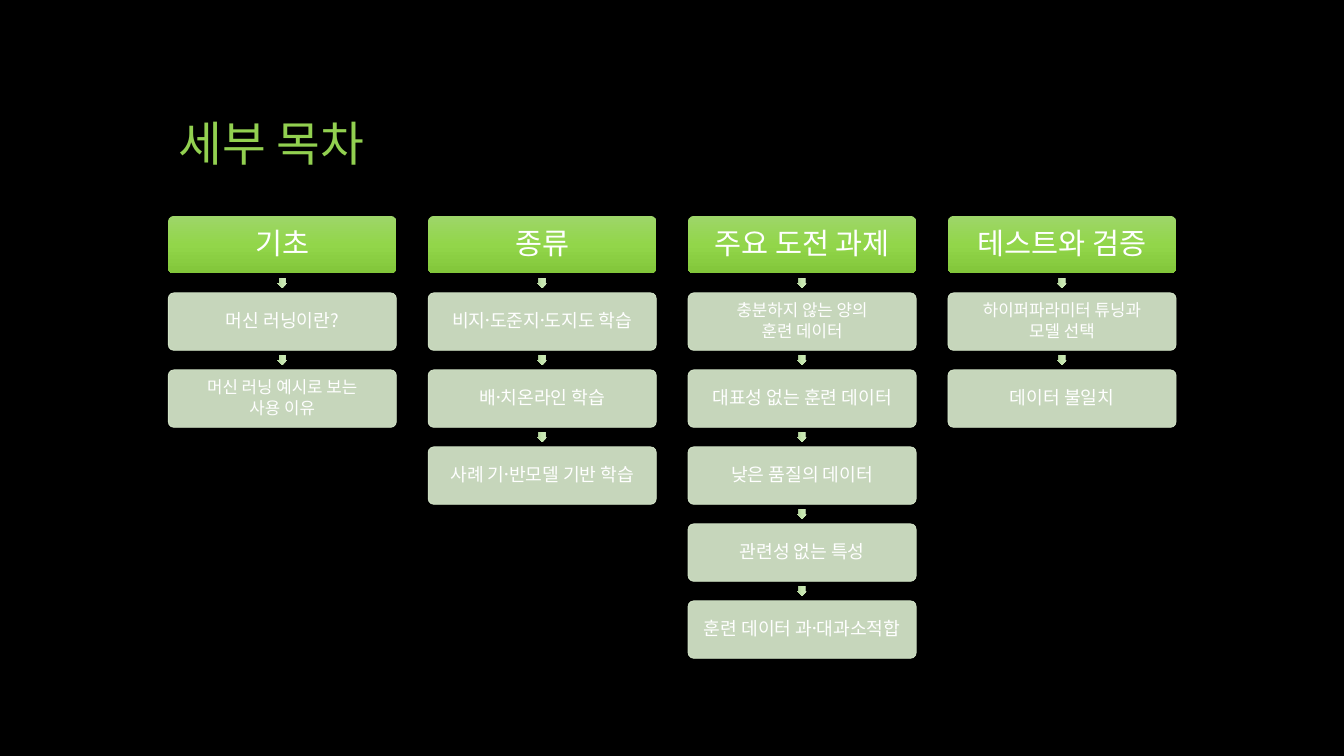
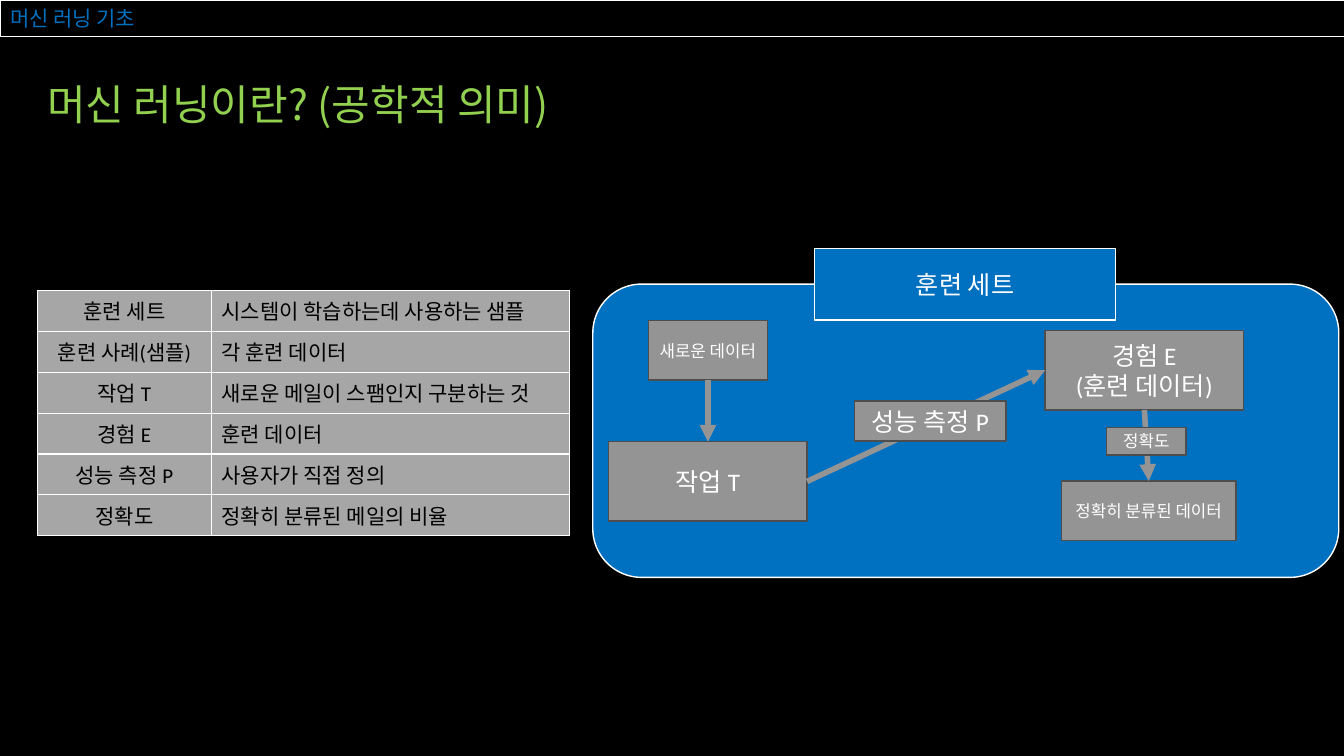
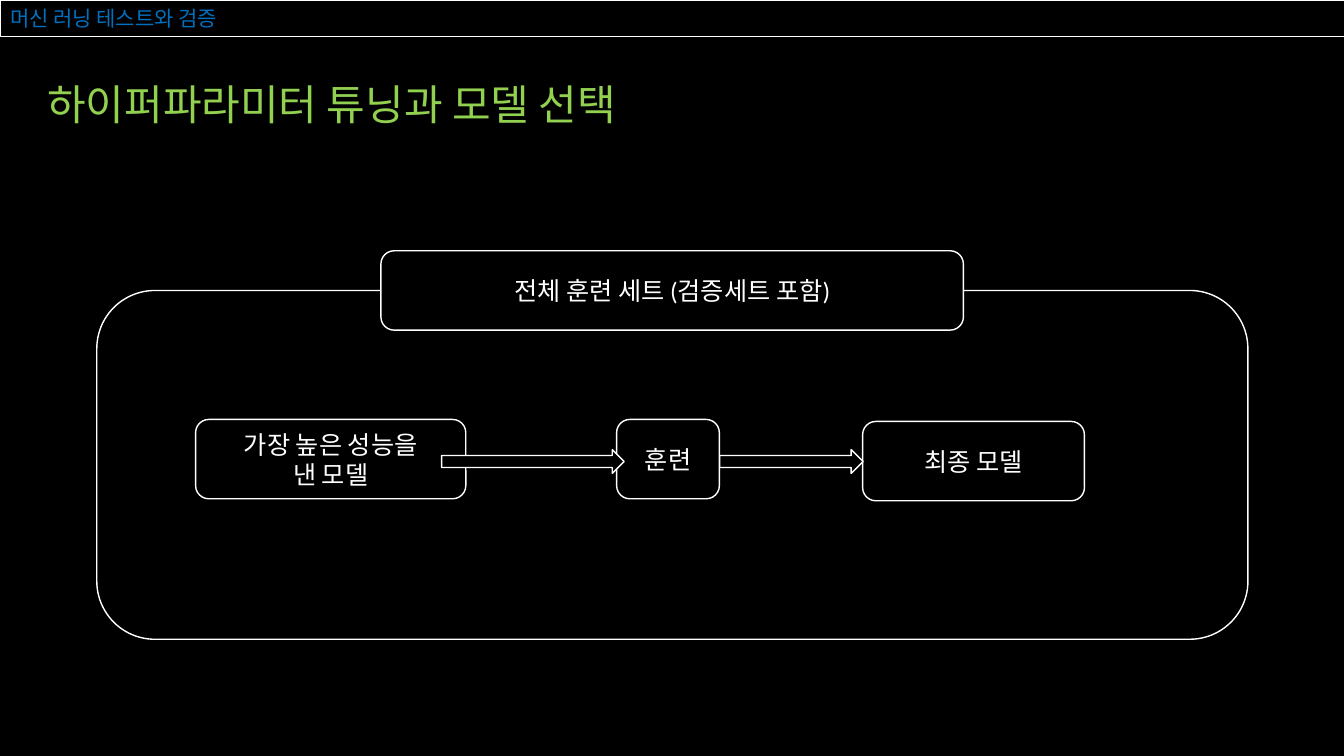
from copy import deepcopy
from dataclasses import dataclass
from typing import Any, Optional

from pptx import Presentation
from pptx.dml.color import RGBColor
from pptx.enum.shapes import MSO_CONNECTOR as Link, MSO_SHAPE as Preset
from pptx.enum.text import MSO_ANCHOR as Anchor, MSO_AUTO_SIZE as AutoSize, PP_ALIGN as Align
from pptx.oxml.ns import qn
from pptx.oxml.xmlchemy import OxmlElement
from pptx.util import Cm, Pt

BLACK = RGBColor(0x00, 0x00, 0x00)
WHITE = RGBColor(0xFF, 0xFF, 0xFF)
GREEN = RGBColor(0x92, 0xD0, 0x50)
BLUE = RGBColor(0x00, 0x70, 0xC0)
GRAY = RGBColor(0x94, 0x94, 0x94)
DARK_GRAY = RGBColor(0x4D, 0x4D, 0x4D)
CELL_GRAY = RGBColor(0xA6, 0xA6, 0xA6)
PALE_GREEN = RGBColor(0xDC, 0xEE, 0xD0)
HEAD_STOPS = (RGBColor(0x9E, 0xD6, 0x69), RGBColor(0x92, 0xD6, 0x4A), RGBColor(0x82, 0xC6, 0x3A))
ARROW_STOPS = (RGBColor(0xCF, 0xE9, 0xBD), RGBColor(0xC7, 0xE7, 0xB0), RGBColor(0xB0, 0xD1, 0x99))

KOREAN = "Noto Sans CJK KR"
LATIN = "Calibri"
SLIDE_W, SLIDE_H = 33.87, 19.05
TITLE_ONLY = 5

LEFT_TEXT = {"alignment": Align.LEFT, "line_spacing": 0.9}
CENTERED = {"alignment": Align.CENTER}
STEP_TEXT = {"alignment": Align.CENTER, "line_spacing": 0.9, "space_after": Pt(1.5)}
TITLE_FRAME = {"word_wrap": True, "auto_size": AutoSize.NONE, "vertical_anchor": Anchor.BOTTOM}
HEADING_FRAME = {"word_wrap": True, "vertical_anchor": Anchor.TOP, "margin_top": 0, "margin_bottom": 0}
NODE_FRAME = {"word_wrap": False, "vertical_anchor": Anchor.MIDDLE}
STEP_FRAME = {"word_wrap": True, "vertical_anchor": Anchor.MIDDLE} | {
    f"margin_{side}": Cm(0.1) for side in ("left", "right", "top", "bottom")}


@dataclass(frozen=True)
class Box:
    left: float
    top: float
    width: float
    height: float

    def lengths(self) -> tuple:
        return Cm(self.left), Cm(self.top), Cm(self.width), Cm(self.height)


@dataclass(frozen=True)
class Node:
    box: Box
    text: str = ""
    size: int = 18
    preset: Any = Preset.RECTANGLE
    fill: Optional[RGBColor] = GRAY
    line: RGBColor = DARK_GRAY


@dataclass(frozen=True)
class Column:
    head: str
    steps: tuple


# Shared helpers
def apply(target: Any, values: dict) -> None:
    for name, value in values.items():
        setattr(target, name, value)


def write(frame: Any, text: str, size: int, color: RGBColor, face: str,
          paragraph_format: dict) -> None:
    """Write one paragraph per line of text."""
    frame.text = text
    for paragraph in frame.paragraphs:
        apply(paragraph, paragraph_format)
        for run in paragraph.runs:
            apply(run.font, {"size": Pt(size), "name": face, "bold": False})
            run.font.color.rgb = color
            east_asian = OxmlElement("a:ea")
            east_asian.set("typeface", KOREAN)
            run.font._element.append(east_asian)


def add_plain_shape(slide: Any, preset: Any, box: Box) -> Any:
    shape = slide.shapes.add_shape(preset, *box.lengths())
    shape.shadow.inherit = False
    return shape


def paint(shape: Any, fill: Optional[RGBColor], line: RGBColor, width: float) -> None:
    if fill is None:
        shape.fill.background()
    else:
        shape.fill.solid()
        shape.fill.fore_color.rgb = fill
    shape.line.color.rgb = line
    shape.line.width = Pt(width)


def paint_gradient(shape: Any, colors: tuple) -> None:
    shape.line.fill.background()
    shape.fill.gradient()
    shape.fill.gradient_angle = 270
    stop_list = shape._element.spPr.find(qn("a:gradFill")).find(qn("a:gsLst"))
    stop_list.insert(1, deepcopy(stop_list[0]))
    for index, (stop, color) in enumerate(zip(shape.fill.gradient_stops, colors)):
        stop.position = index / 2
        stop.color.rgb = color


def make_translucent(shape: Any, percent: int) -> None:
    for color in shape._element.spPr.iter(qn("a:srgbClr")):
        alpha = OxmlElement("a:alpha")
        alpha.set("val", str(percent * 1000))
        color.append(alpha)


def add_node(slide: Any, node: Node) -> Any:
    shape = add_plain_shape(slide, node.preset, node.box)
    paint(shape, node.fill, node.line, 1)
    if node.text:
        apply(shape.text_frame, NODE_FRAME)
        write(shape.text_frame, node.text, node.size, WHITE, LATIN, CENTERED)
    return shape


def add_titled_slide(prs: Any, title: str, box: Box, size: int, color: RGBColor) -> Any:
    slide = prs.slides.add_slide(prs.slide_layouts[TITLE_ONLY])
    holder = slide.shapes.title
    apply(holder, dict(zip(("left", "top", "width", "height"), box.lengths())))
    apply(holder.text_frame, TITLE_FRAME)
    write(holder.text_frame, title, size, color, KOREAN, LEFT_TEXT)
    return slide


def add_topic_slide(prs: Any, section: str, heading: str) -> Any:
    """Slide with the outlined section band and a green heading."""
    slide = add_titled_slide(prs, section, Box(0, 0, SLIDE_W, 0.91), 15, BLUE)
    paint(slide.shapes.title, None, WHITE, 0.5)
    heading_box = slide.shapes.add_textbox(*Box(0.94, 2.13, 29.79, 1.04).lengths())
    apply(heading_box.text_frame, HEADING_FRAME)
    write(heading_box.text_frame, heading, 30, GREEN, KOREAN, LEFT_TEXT)
    return slide


# Slide 1: contents
COLUMNS = (
    Column("기초", ("머신 러닝이란?", "머신 러닝 예시로 보는\n사용 이유")),
    Column("종류", ("비지도〮준지도〮지도 학습", "배치〮온라인 학습", "사례 기반〮모델 기반 학습")),
    Column("주요 도전 과제", ("충분하지 않는 양의\n훈련 데이터", "대표성 없는 훈련 데이터",
                        "낮은 품질의 데이터", "관련성 없는 특성", "훈련 데이터 과대〮과소적합")),
    Column("테스트와 검증", ("하이퍼파라미터 튜닝과\n모델 선택", "데이터 불일치")),
)
GRID_LEFT, GRID_TOP, COLUMN_PITCH, ROW_PITCH = 4.24, 5.44, 6.55, 1.94
STEP_W, STEP_H, ARROW = 5.75, 1.45, 0.25


def add_step(slide: Any, box: Box, text: str, is_head: bool) -> None:
    step = add_plain_shape(slide, Preset.ROUNDED_RECTANGLE, box)
    step.adjustments[0] = 0.1
    if is_head:
        paint_gradient(step, HEAD_STOPS)
        size = 21
    else:
        paint(step, PALE_GREEN, PALE_GREEN, 0.5)
        make_translucent(step, 90)
        size = 12 if "\n" in text else 13
    apply(step.text_frame, STEP_FRAME)
    write(step.text_frame, text, size, WHITE, KOREAN, STEP_TEXT)


def add_step_arrow(slide: Any, left: float, top: float) -> None:
    arrow = add_plain_shape(slide, Preset.RIGHT_ARROW, Box(left, top, ARROW, ARROW))
    arrow.rotation = 90
    arrow.adjustments[0] = 0.667
    paint_gradient(arrow, ARROW_STOPS)


def build_contents(prs: Any) -> None:
    slide = add_titled_slide(prs, "세부 목차", Box(4.24, 1.27, 25.4, 3.18), 34, GREEN)
    for index, column in enumerate(COLUMNS):
        left = GRID_LEFT + index * COLUMN_PITCH
        for row, text in enumerate((column.head, *column.steps)):
            top = GRID_TOP + row * ROW_PITCH
            if row:
                gap = ROW_PITCH - STEP_H
                add_step_arrow(slide, left + (STEP_W - ARROW) / 2, top - (gap + ARROW) / 2)
            add_step(slide, Box(left, top, STEP_W, STEP_H), text, row == 0)


# Slide 2: engineering meaning
TERMS = (
    ("훈련 세트", "시스템이 학습하는데 사용하는 샘플"),
    ("훈련 사례(샘플)", "각 훈련 데이터"),
    ("작업 T", "새로운 메일이 스팸인지 구분하는 것"),
    ("경험 E", "훈련 데이터"),
    ("성능 측정 P", "사용자가 직접 정의"),
    ("정확도", "정확히 분류된 메일의 비율"),
)
TERM_WIDTHS, TERM_ROW_H = (4.39, 9.02), 1.03
RIGHT_SIDE, LEFT_SIDE, TOP_SIDE, BOTTOM_SIDE = 3, 1, 0, 2


def add_cell_borders(cell: Any, color: RGBColor) -> None:
    properties = cell._tc.get_or_add_tcPr()
    for edge in ("L", "R", "T", "B"):
        border = OxmlElement(f"a:ln{edge}")
        border.set("w", str(Pt(1)))
        fill = OxmlElement("a:solidFill")
        tint = OxmlElement("a:srgbClr")
        tint.set("val", str(color))
        fill.append(tint)
        border.append(fill)
        properties.append(border)


def add_terms(slide: Any) -> None:
    area = Box(0.94, 7.32, sum(TERM_WIDTHS), TERM_ROW_H * len(TERMS))
    terms = slide.shapes.add_table(len(TERMS), len(TERM_WIDTHS), *area.lengths()).table
    apply(terms, {"first_row": False, "horz_banding": False})
    for column, width in zip(terms.columns, TERM_WIDTHS):
        column.width = Cm(width)
    for row, texts in enumerate(TERMS):
        terms.rows[row].height = Cm(TERM_ROW_H)
        for index, text in enumerate(texts):
            cell = terms.cell(row, index)
            add_cell_borders(cell, WHITE)
            cell.fill.solid()
            cell.fill.fore_color.rgb = CELL_GRAY
            alignment = Align.LEFT if index else Align.CENTER
            write(cell.text_frame, text, 15, BLACK, LATIN, {"alignment": alignment})


def add_flow(slide: Any, start: Any, start_side: int, end: Any, end_side: int) -> None:
    flow = slide.shapes.add_connector(Link.STRAIGHT, 0, 0, 0, 0)
    flow.begin_connect(start, start_side)
    flow.end_connect(end, end_side)
    flow.line.color.rgb = GRAY
    flow.line.width = Pt(4)
    arrowhead = OxmlElement("a:tailEnd")
    arrowhead.set("type", "triangle")
    flow.line._get_or_add_ln().append(arrowhead)
    flow._element.spPr.append(OxmlElement("a:effectLst"))


def build_meaning(prs: Any) -> None:
    slide = add_topic_slide(prs, "머신 러닝 기초", "머신 러닝이란? (공학적 의미)")
    add_terms(slide)
    add_node(slide, Node(Box(14.94, 7.16, 18.8, 7.39), preset=Preset.ROUNDED_RECTANGLE,
                         fill=BLUE, line=WHITE))
    add_node(slide, Node(Box(20.52, 6.27, 7.6, 1.8), "훈련 세트", fill=BLUE, line=WHITE))
    task = add_node(slide, Node(Box(15.34, 11.13, 5, 2), "작업 T"))
    experience = add_node(slide, Node(Box(26.34, 8.33, 5, 2), "경험 E\n(훈련 데이터)"))
    new_data = add_node(slide, Node(Box(16.34, 8.08, 3, 1.5), "새로운 데이터", 12))
    classified = add_node(slide, Node(Box(26.75, 12.12, 4.4, 1.5), "정확히 분류된 데이터", 12))
    add_flow(slide, task, RIGHT_SIDE, experience, LEFT_SIDE)
    add_flow(slide, new_data, BOTTOM_SIDE, task, TOP_SIDE)
    add_flow(slide, experience, BOTTOM_SIDE, classified, TOP_SIDE)
    # Labels lie over the flows
    add_node(slide, Node(Box(21.54, 10.11, 3.81, 1), "성능 측정 P"))
    add_node(slide, Node(Box(27.89, 10.77, 2, 0.7), "정확도", 12))


# Slide 3: model selection
SELECTION = (
    (Box(2.44, 7.32, 29.01, 8.79), "", None),
    (Box(9.6, 6.32, 14.68, 2), "전체 훈련 세트 (검증세트 포함)", BLACK),
    (Box(4.93, 10.57, 6.81, 2), "가장 높은 성능을\n낸 모델", None),
    (Box(15.54, 10.57, 2.59, 2), "훈련", None),
    (Box(21.74, 10.62, 5.59, 2), "최종 모델", None),
)
SELECTION_ARROWS = (Box(11.13, 11.33, 4.6, 0.6), Box(18.14, 11.33, 3.61, 0.6))


def build_selection(prs: Any) -> None:
    slide = add_topic_slide(prs, "머신 러닝 테스트와 검증", "하이퍼파라미터 튜닝과 모델 선택")
    for box, text, fill in SELECTION:
        add_node(slide, Node(box, text, preset=Preset.ROUNDED_RECTANGLE, fill=fill, line=WHITE))
    for box in SELECTION_ARROWS:
        add_node(slide, Node(box, preset=Preset.RIGHT_ARROW, fill=BLACK, line=WHITE))


def main() -> None:
    prs = Presentation()
    apply(prs, {"slide_width": Cm(SLIDE_W), "slide_height": Cm(SLIDE_H)})
    backdrop = prs.slide_master.background.fill
    backdrop.solid()
    backdrop.fore_color.rgb = BLACK
    for build in (build_contents, build_meaning, build_selection):
        build(prs)
    prs.save("out.pptx")


if __name__ == "__main__":
    main()
